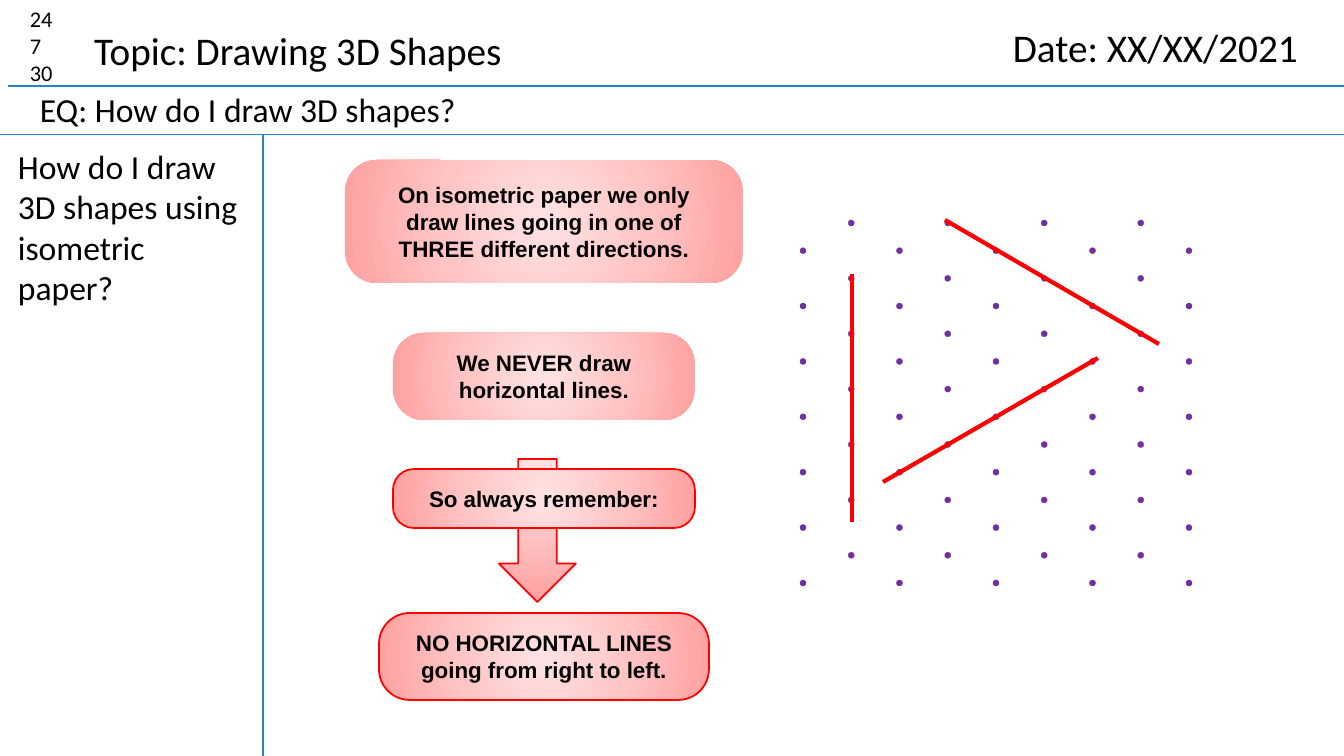
import pptx
import pptx.dml.color
import pptx.enum.shapes
import pptx.enum.text
import pptx.oxml
import pptx.oxml.ns
import pptx.util
from lxml import etree

PX = 914400 / 100.8
SLIDE_SIZE = (1344, 756)
COLOURS = {
    "text": "000000", "rule": "2683C6", "dot": "7030A0", "red": "FF0000",
    "pale": "FFE3E3", "pink": "FFC5C5", "rose": "FFA0A0",
}

# Boxes are (left, top, width, height); lines are (x1, y1, x2, y2).
TITLE = ("Topic: Drawing 3D Shapes", (84, 21, 432, 58), 28)
NOTES = [
    ("24\n7\n30", (20, 0, 64, 92), 16),
    ("EQ: How do I draw 3D shapes?", (30, 84, 1173, 50), 24),
    ("Date: XX/XX/2021", (1003, 18, 331, 58), 28),
    ("How do I draw 3D shapes using isometric paper?", (8, 141, 245, 173), 24),
]
CARDS = [  # text, box, corner, outlined
    ("On isometric paper we only draw lines going in one of THREE different directions.",
     (345, 160, 398, 123), 0.256, False),
    ("We NEVER draw horizontal lines.", (393, 333, 302, 87), 0.354, False),
    ("So always remember:", (393, 469, 302, 59), 0.354, True),
    ("NO HORIZONTAL LINES going from right to left.", (379, 613, 330, 87), 0.354, True),
]
ARROW_BOX = (499, 459, 77, 143)
PAGE_RULES = [(8, 86, 1344, 86), (0, 135, 1344, 135), (263, 135, 263, 756)]
ISOMETRIC_LINES = [(945, 220, 1159, 344), (1098, 358, 883, 482), (852, 522, 852, 274)]
DOT_AREA = (800, 220, 386, 360)
DOT_COLUMNS, DOT_ROWS, DOT_SIZE = 9, 14, 6

SHAPE = pptx.enum.shapes.MSO_SHAPE
CARD_GRADIENT = ('<a:path path="circle"><a:fillToRect l="50000" t="50000" '
                 'r="50000" b="50000"/></a:path>')
ARROW_GRADIENT = '<a:lin ang="16200000" scaled="0"/>'


def emu(*lengths):
    return [round(length * PX) for length in lengths]


def rgb(name):
    return pptx.dml.color.RGBColor.from_string(COLOURS[name])


def set_line(line, colour, width):
    line.color.rgb = rgb(colour)
    line.width = pptx.util.Pt(width)


def write(text_frame, text, size, font_name="Calibri", bold=False, align="LEFT"):
    text_frame.text = text
    for paragraph in text_frame.paragraphs:
        paragraph.alignment = getattr(pptx.enum.text.PP_ALIGN, align)
        for run in paragraph.runs:
            run.font.name = font_name
            run.font.size = pptx.util.Pt(size)
            run.font.bold = bold
            run.font.color.rgb = rgb("text")


def add_line(slide, ends, colour, width):
    connector = slide.shapes.add_connector(
        pptx.enum.shapes.MSO_CONNECTOR.STRAIGHT, *emu(*ends))
    set_line(connector.line, colour, width)
    etree.SubElement(connector._element.spPr, pptx.oxml.ns.qn("a:effectLst"))


def add_preset(slide, kind, box):
    shape = slide.shapes.add_shape(kind, *emu(*box))
    shape.shadow.inherit = False
    return shape


def fill_gradient(shape, names, direction):
    """Fill with evenly spaced colours; direction is the a:lin or a:path element."""
    stops = "".join(
        f'<a:gs pos="{index * 50000}"><a:srgbClr val="{COLOURS[name]}"/></a:gs>'
        for index, name in enumerate(names))
    gradient = pptx.oxml.parse_xml(
        f'<a:gradFill {pptx.oxml.ns.nsdecls("a")} rotWithShape="1">'
        f'<a:gsLst>{stops}</a:gsLst>{direction}</a:gradFill>')
    shape._element.spPr.find(pptx.oxml.ns.qn("a:prstGeom")).addnext(gradient)


def add_title(slide):
    text, box, size = TITLE
    title = slide.shapes.title
    title.left, title.top, title.width, title.height = emu(*box)
    write(title.text_frame, text, size)
    title.text_frame.word_wrap = False
    title.text_frame.auto_size = pptx.enum.text.MSO_AUTO_SIZE.SHAPE_TO_FIT_TEXT
    title.text_frame.vertical_anchor = pptx.enum.text.MSO_ANCHOR.TOP


def add_note(slide, text, box, size):
    text_frame = slide.shapes.add_textbox(*emu(*box)).text_frame
    text_frame.word_wrap = True
    write(text_frame, text, size)


def add_card(slide, text, box, corner, outlined):
    card = add_preset(slide, SHAPE.ROUNDED_RECTANGLE, box)
    card.adjustments[0] = corner
    fill_gradient(card, ["pale", "pink", "rose"], CARD_GRADIENT)
    if outlined:
        set_line(card.line, "red", 1.25)
    else:
        card.line.fill.background()
    text_frame = card.text_frame
    text_frame.word_wrap = True
    text_frame.margin_left, text_frame.margin_right = emu(20, 20)
    text_frame.vertical_anchor = pptx.enum.text.MSO_ANCHOR.MIDDLE
    write(text_frame, text, 16, "Arial", True, "CENTER")


def add_isometric_dots(slide):
    left, top, width, height = DOT_AREA
    for row in range(DOT_ROWS):
        for column in range((row + 1) % 2, DOT_COLUMNS, 2):
            x = left + column * width / (DOT_COLUMNS - 1)
            y = top + row * height / (DOT_ROWS - 1)
            dot = add_preset(slide, SHAPE.OVAL, (x, y, DOT_SIZE, DOT_SIZE))
            dot.fill.solid()
            dot.fill.fore_color.rgb = rgb("dot")
            set_line(dot.line, "dot", 0.25)


def main():
    presentation = pptx.Presentation()
    presentation.slide_width, presentation.slide_height = emu(*SLIDE_SIZE)
    slide = presentation.slides.add_slide(presentation.slide_layouts[5])

    add_title(slide)
    for ends in PAGE_RULES:
        add_line(slide, ends, "rule", 0.75)
    for note in NOTES:
        add_note(slide, *note)

    add_isometric_dots(slide)
    for ends in ISOMETRIC_LINES:
        add_line(slide, ends, "red", 3)

    arrow = add_preset(slide, SHAPE.DOWN_ARROW, ARROW_BOX)
    fill_gradient(arrow, ["rose", "pink", "pale"], ARROW_GRADIENT)
    set_line(arrow.line, "red", 1.25)
    for card in CARDS:
        add_card(slide, *card)

    presentation.save("out.pptx")


if __name__ == "__main__":
    main()
